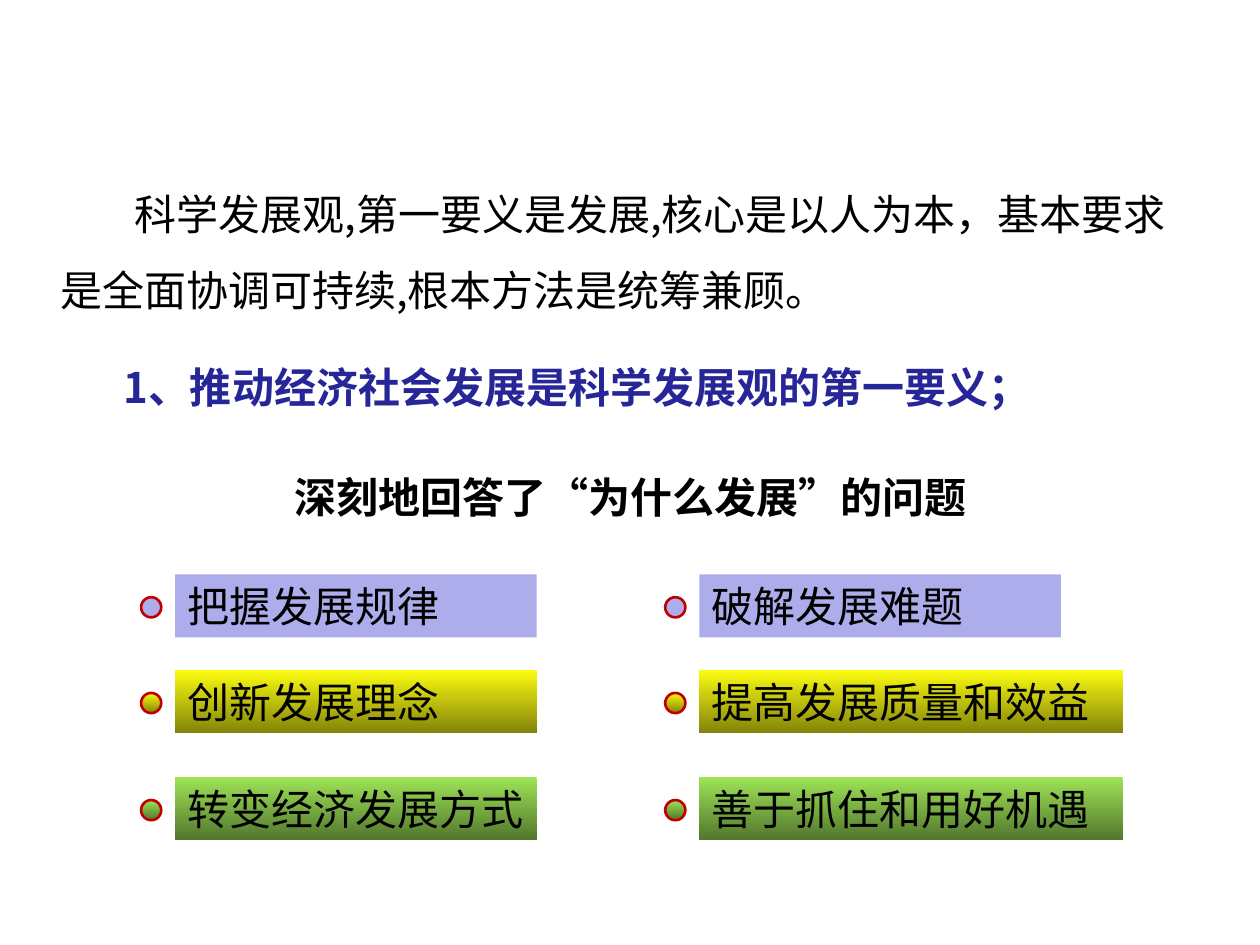
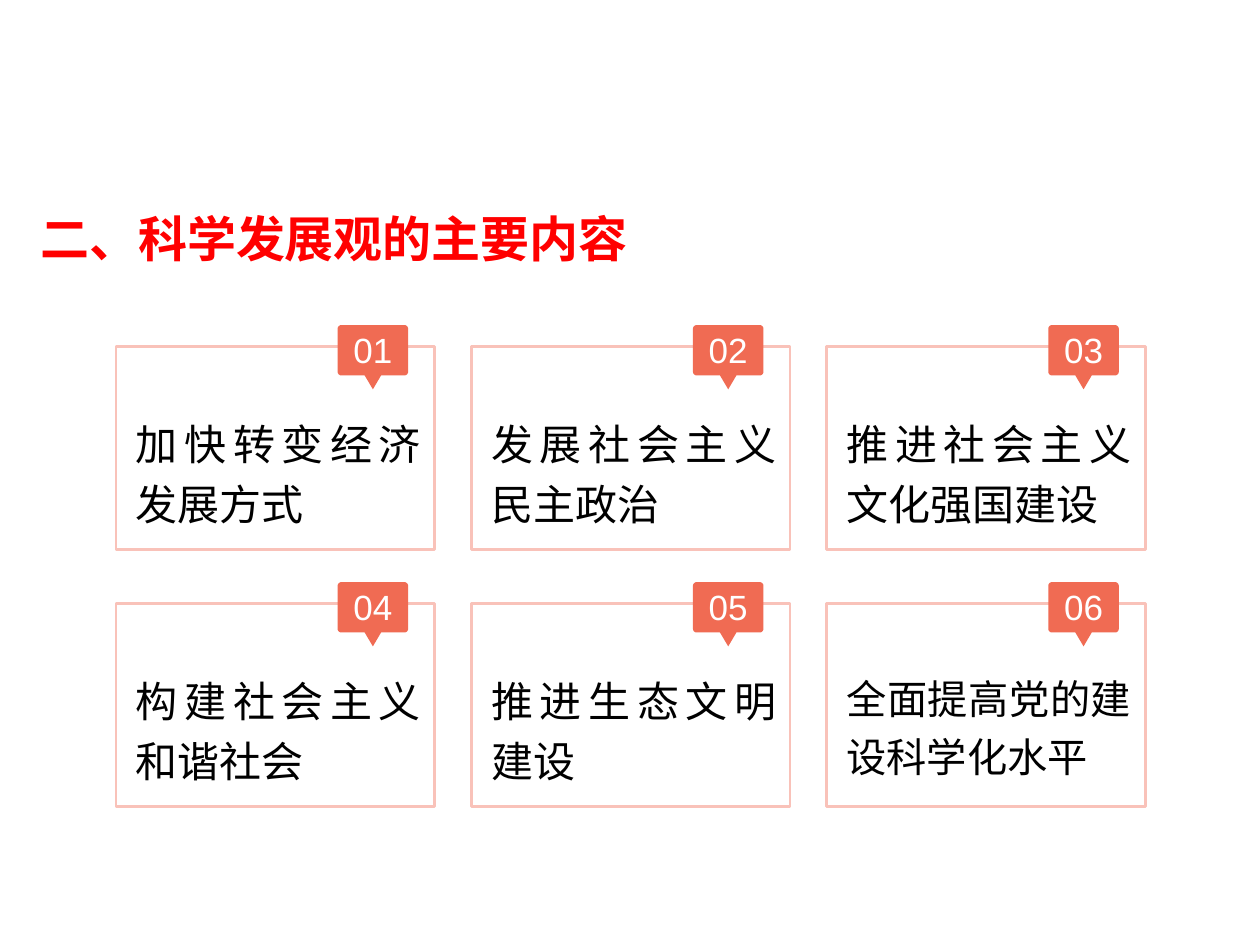
from dataclasses import dataclass
from math import cos, radians, sin

from lxml.etree import SubElement
from pptx import Presentation
from pptx.dml.color import RGBColor
from pptx.enum.shapes import MSO_SHAPE
from pptx.enum.text import MSO_ANCHOR, PP_ALIGN
from pptx.oxml.ns import qn
from pptx.util import Inches, Pt

WIDTH, HEIGHT = Inches(10), Inches(7.5)
COL, ROW = WIDTH / 100, HEIGHT / 75
CJK, LATIN = "Noto Sans CJK SC", "Arial"
COLORS = {
    "text": "000000", "white": "FFFFFF", "title": "FF0000", "heading": "262699",
    "ring": "C00000", "card": "F9C2B9", "badge": "F06B53",
    "lilac": "ADADEB", "yellow": "FBFB11", "olive": "838309",
    "lime": "9EE256", "moss": "52762D",
}
MEASURES = [
    (0, ["lilac"], [("把握发展规律", 28.7), ("破解发展难题", 28.7)]),
    (7.6, ["yellow", "olive"], [("创新发展理念", 28.7), ("提高发展质量和效益", 33.6)]),
    (16.1, ["lime", "moss"], [("转变经济发展方式", 28.7), ("善于抓住和用好机遇", 33.6)]),
]
CONTENTS = [
    ("加快转变经济发展方式", 24), ("发展社会主义民主政治", 24),
    ("推进社会主义文化强国建设", 24), ("构建社会主义和谐社会", 24),
    ("推进生态文明建设", 24), ("全面提高党的建设科学化水平", 23),
]


@dataclass
class Box:
    """A rectangle measured in grid columns and rows."""
    x: float
    y: float
    w: float
    h: float

    def inner(self, x, y, w, h):
        """Return a box offset from this one's corner."""
        return Box(self.x + x, self.y + y, w, h)

    def emu(self):
        """Return left, top, width and height for a shape."""
        return (round(self.x * COL), round(self.y * ROW),
                round(self.w * COL), round(self.h * ROW))


PAGE = Box(0, 0, 100, 75)


def rgb(name):
    """Look up a named colour."""
    return RGBColor.from_string(COLORS[name])


def add_run(p, text, size=24, color="text", bold=False, font=CJK):
    """Add one formatted run to a paragraph."""
    r = p.add_run()
    r.text = text
    r.font.size, r.font.bold, r.font.name = Pt(size), bold, font
    r.font.color.rgb = rgb(color)
    SubElement(r.font._element, qn("a:ea")).set("typeface", CJK)


def add_text(slide, box):
    """Add a wrapping text box and return its frame."""
    tf = slide.shapes.add_textbox(*box.emu()).text_frame
    tf.word_wrap = True
    return tf


def paint(sp, fills, line=None):
    """Fill a shape with one colour or a downward gradient."""
    sp.shadow.inherit = False
    if len(fills) == 1:
        sp.fill.solid()
        sp.fill.fore_color.rgb = rgb(fills[0])
    else:
        sp.fill.gradient()
        sp.fill.gradient_angle = 270
        for stop, name in zip(sp.fill.gradient_stops, fills):
            stop.color.rgb = rgb(name)
    if line:
        sp.line.color.rgb = rgb(line)
        sp.line.width = Pt(1.5)
    else:
        sp.line.fill.background()


def add_intro(slide, box):
    """Write the opening statement and its numbered heading."""
    tf = add_text(slide, box)
    p = tf.paragraphs[0]
    p.line_spacing = 1.5
    p._p.get_or_add_pPr().set("indent", str(Inches(0.59)))
    add_run(p, "科学发展观,第一要义是发展,核心是以人为本，基本要求是全面协调可持续,根本方法是统筹兼顾。")
    p = tf.add_paragraph()
    p.line_spacing, p.space_before = 1.5, Pt(12)
    p._p.get_or_add_pPr().set("marL", str(Inches(0.5)))
    add_run(p, "1、推动经济社会发展是科学发展观的第一要义；", color="heading", bold=True)


def add_measure(slide, box, text, fills):
    """Group a ringed dot with its labelled bar."""
    shapes = slide.shapes.add_group_shape().shapes
    dot = box.inner(-2.7, 1.8, 1.6, 1.6)
    paint(shapes.add_shape(MSO_SHAPE.OVAL, *dot.emu()), fills, "ring")
    bar = shapes.add_shape(MSO_SHAPE.RECTANGLE, *box.emu())
    paint(bar, fills)
    tf = bar.text_frame
    tf.word_wrap, tf.margin_right = True, 0
    p = tf.paragraphs[0]
    p.alignment = PP_ALIGN.LEFT
    add_run(p, text)


def add_measures(slide, box):
    """Lay the measures out in two columns."""
    for top, fills, labels in MEASURES:
        for i, (text, width) in enumerate(labels):
            add_measure(slide, box.inner(i * box.w / 2, top, width, 5), text, fills)


def badge_outline(box):
    """Return the points of a rounded tag with a tail below."""
    radius, body, middle, tail = 0.3, 4, box.w / 2, 0.65
    left, right, top, bottom = radius, box.w - radius, radius, body - radius
    corners = [(left, top, 180), (right, top, 270), (right, bottom, 0), (left, bottom, 90)]
    points = []
    for cx, cy, start in corners:
        for angle in range(start, start + 91, 15):
            a = radians(angle)
            points.append((cx + radius * cos(a), cy + radius * sin(a)))
        if start == 0:
            points += [(middle + tail, body), (middle, box.h), (middle - tail, body)]
    return [(round((box.x + x) * COL), round((box.y + y) * ROW)) for x, y in points]


def add_badge(slide, box, label):
    """Draw a numbered tag."""
    first, *rest = badge_outline(box)
    builder = slide.shapes.build_freeform(*first)
    builder.add_line_segments(rest)
    sp = builder.convert_to_shape()
    paint(sp, ["badge"])
    tf = sp.text_frame
    tf.margin_left = tf.margin_right = tf.margin_top = 0
    tf.margin_bottom = Inches(0.12)
    tf.vertical_anchor = MSO_ANCHOR.MIDDLE
    p = tf.paragraphs[0]
    p.alignment = PP_ALIGN.CENTER
    add_run(p, label, 20, "white", font=LATIN)


def add_card(slide, box, number, text, size):
    """Draw one outlined card with its tag and text."""
    card = slide.shapes.add_shape(MSO_SHAPE.RECTANGLE, *box.emu())
    paint(card, ["white"], "card")
    add_badge(slide, box.inner(17.6, -1.7, 5.6, 5.1), f"{number:02}")
    p = add_text(slide, box.inner(0.6, 4.4, box.w - 0.7, 10.3)).paragraphs[0]
    p.alignment, p.line_spacing = PP_ALIGN.JUSTIFY, 1.2
    add_run(p, text, size, font=LATIN)


def add_cards(slide, box):
    """Lay the cards out three to a row."""
    w, h = 25.3, 16.1
    step_x, step_y = (box.w - w) / 2, box.h - h
    for i, (text, size) in enumerate(CONTENTS):
        row, col = divmod(i, 3)
        add_card(slide, box.inner(col * step_x, row * step_y, w, h), i + 1, text, size)


def set_title(slide, box, text):
    """Place and format the title placeholder."""
    sp = slide.shapes.title
    sp.left, sp.top, sp.width, sp.height = box.emu()
    sp.text_frame.vertical_anchor = MSO_ANCHOR.BOTTOM
    p = sp.text_frame.paragraphs[0]
    p.alignment = PP_ALIGN.LEFT
    add_run(p, text, 28, "title", True)


def build_meaning(prs):
    """Build the slide on why development comes first."""
    slide = prs.slides.add_slide(prs.slide_layouts[6])
    add_intro(slide, PAGE.inner(3.8, 12.5, 92.4, 24.3))
    p = add_text(slide, PAGE.inner(19.5, 36.9, 61.1, 5.1)).paragraphs[0]
    p.alignment = PP_ALIGN.CENTER
    add_run(p, "深刻地回答了“为什么发展”的问题", bold=True, font=LATIN)
    add_measures(slide, PAGE.inner(13.9, 45.6, 83.2, 21.1))


def build_contents(prs):
    """Build the slide of six main contents."""
    slide = prs.slides.add_slide(prs.slide_layouts[5])
    set_title(slide, PAGE.inner(2.2, 13, 90, 8.7), "二、科学发展观的主要内容")
    add_cards(slide, PAGE.inner(9.2, 27.5, 81.7, 36.5))


def main():
    """Build and save the slides."""
    prs = Presentation()
    prs.slide_width, prs.slide_height = WIDTH, HEIGHT
    build_meaning(prs)
    build_contents(prs)
    prs.save("out.pptx")


if __name__ == "__main__":
    main()
